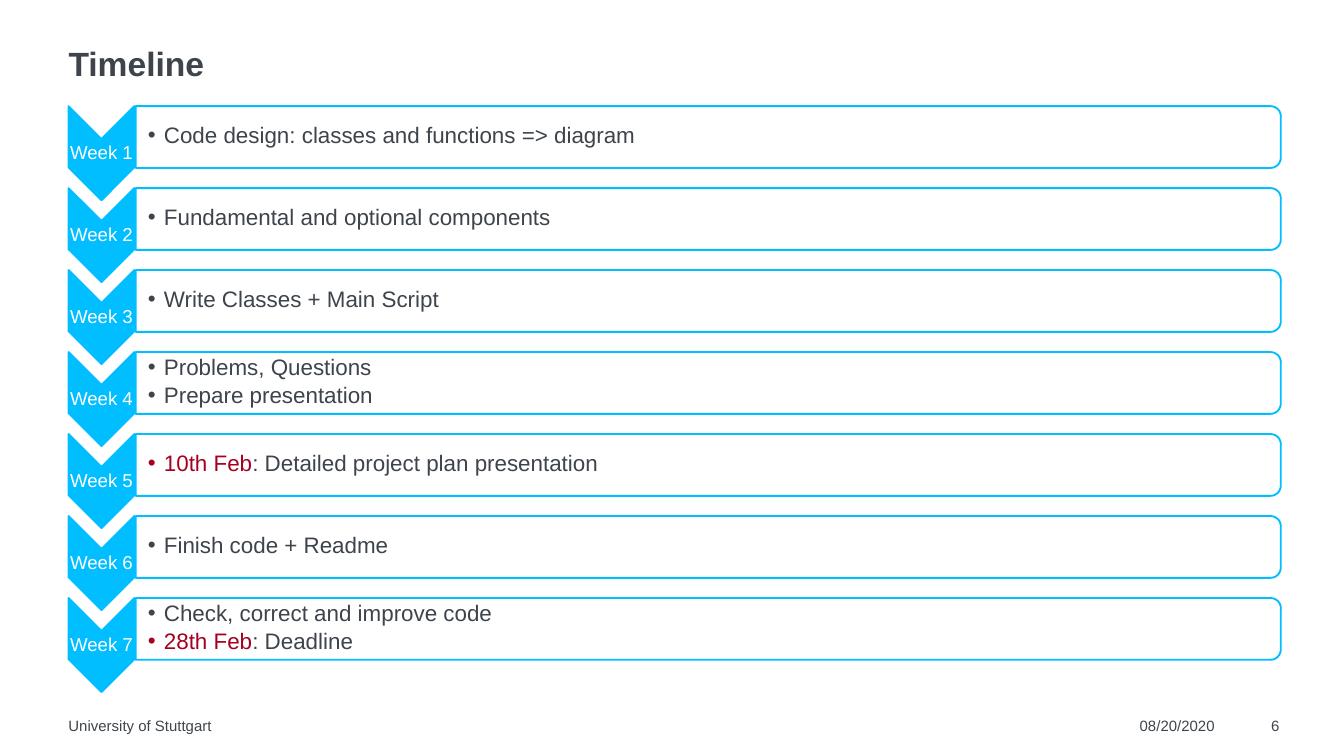
from lxml.etree import SubElement
from pptx import Presentation
from pptx.dml.color import RGBColor
from pptx.enum.shapes import MSO_SHAPE
from pptx.enum.text import MSO_ANCHOR, PP_ALIGN
from pptx.oxml.ns import qn
from pptx.util import Inches, Pt

DARK = RGBColor(0x3E, 0x44, 0x4C)
CYAN = RGBColor(0x00, 0xBE, 0xFF)
RED = RGBColor(0xA5, 0x00, 0x21)
WHITE = RGBColor(0xFF, 0xFF, 0xFF)

TITLE = "Timeline"
# Each week holds bullets; each bullet is (highlighted date, remaining text).
WEEKS = [
    [("", "Code design: classes and functions => diagram")],
    [("", "Fundamental and optional components")],
    [("", "Write Classes + Main Script")],
    [("", "Problems, Questions"), ("", "Prepare presentation")],
    [("10th Feb", ": Detailed project plan presentation")],
    [("", "Finish code + Readme")],
    [("", "Check, correct and improve code"), ("28th Feb", ": Deadline")],
]
# Text, left, width, alignment
FOOTER = [
    ("08/20/2020", 8.48, 0.58, PP_ALIGN.LEFT),
    ("University of Stuttgart", 0.51, 6.63, PP_ALIGN.LEFT),
    ("6", 9.28, 0.24, PP_ALIGN.RIGHT),
]

LEFT, TOP, PITCH = 0.51, 0.79, 0.61
CHEVRON_WIDTH, CHEVRON_HEIGHT = 0.49, 0.7
BAR_LEFT = 1.01
BAR_WIDTH, BAR_HEIGHT = 8.52, 0.46


def add_text_box(slide, left, top, width, height, margin=0, anchor=MSO_ANCHOR.TOP):
    box = slide.shapes.add_textbox(*map(Inches, (left, top, width, height)))
    frame = box.text_frame
    frame.word_wrap = True
    frame.vertical_anchor = anchor
    frame.margin_left = frame.margin_right = Inches(margin)
    frame.margin_top = frame.margin_bottom = Inches(margin)
    return frame


def style_font(font, size, color, bold=False):
    font.name = "Arial"
    font.size = Pt(size)
    font.bold = bold
    font.color.rgb = color


def add_label(frame, text, size, color, align=PP_ALIGN.LEFT, bold=False, spacing=1.0):
    frame.text = text
    paragraph = frame.paragraphs[0]
    paragraph.alignment = align
    paragraph.line_spacing = spacing
    style_font(paragraph.runs[0].font, size, color, bold)


def add_turned_shape(slide, kind, left, top, width, height, fill):
    """Add a shape turned by 90 degrees that covers the given upright area."""
    shift = (width - height) / 2
    shape = slide.shapes.add_shape(
        kind, Inches(left + shift), Inches(top - shift), Inches(height), Inches(width))
    shape.rotation = 90
    shape.shadow.inherit = False
    shape.fill.solid()
    shape.fill.fore_color.rgb = fill
    shape.line.color.rgb = CYAN
    shape.line.width = Pt(1)
    return shape


def set_opacity(shape, percent):
    color = shape.fill._xPr.find(qn("a:solidFill"))[0]
    SubElement(color, qn("a:alpha"), val=str(percent * 1000))


def add_bullet(paragraph, date, text):
    paragraph.line_spacing = 0.9
    paragraph.space_after = Pt(1.8)
    properties = paragraph._p.get_or_add_pPr()
    properties.set("lvl", "1")
    properties.set("marL", str(Inches(0.12)))
    properties.set("indent", str(Inches(-0.12)))
    SubElement(properties, qn("a:buFont"), typeface="Arial")
    SubElement(properties, qn("a:buChar"), char="•")
    for part, color in ((date, RED), (text, DARK)):
        if part:
            run = paragraph.add_run()
            run.text = part
            style_font(run.font, 12, color)


def add_week(slide, index, bullets):
    top = TOP + index * PITCH
    add_turned_shape(slide, MSO_SHAPE.CHEVRON, LEFT, top,
                     CHEVRON_WIDTH, CHEVRON_HEIGHT, CYAN)
    label = add_text_box(slide, LEFT, top + 0.25, CHEVRON_WIDTH, 0.21,
                         0.01, MSO_ANCHOR.MIDDLE)
    add_label(label, f"Week {index + 1}", 10, WHITE, PP_ALIGN.CENTER, spacing=0.9)

    bar = add_turned_shape(slide, MSO_SHAPE.ROUND_2_SAME_RECTANGLE, BAR_LEFT, top,
                           BAR_WIDTH, BAR_HEIGHT, WHITE)
    set_opacity(bar, 90)
    frame = add_text_box(slide, BAR_LEFT, top + 0.02, 8.5, 0.41,
                         0.01, MSO_ANCHOR.MIDDLE)
    frame.margin_left = Inches(0.09)
    for number, (date, text) in enumerate(bullets):
        paragraph = frame.add_paragraph() if number else frame.paragraphs[0]
        add_bullet(paragraph, date, text)


def main():
    presentation = Presentation()
    presentation.slide_width = Inches(10)
    presentation.slide_height = Inches(10 * 9 / 16)
    slide = presentation.slides.add_slide(presentation.slide_layouts[6])

    title = add_text_box(slide, LEFT, 0.35, 9.02, 0.28)
    add_label(title, TITLE, 18, DARK, bold=True, spacing=0.9)
    for index, bullets in enumerate(WEEKS):
        add_week(slide, index, bullets)
    for text, left, width, align in FOOTER:
        add_label(add_text_box(slide, left, 5.33, width, 0.13), text, 8, DARK, align)

    presentation.save("out.pptx")


if __name__ == "__main__":
    main()
